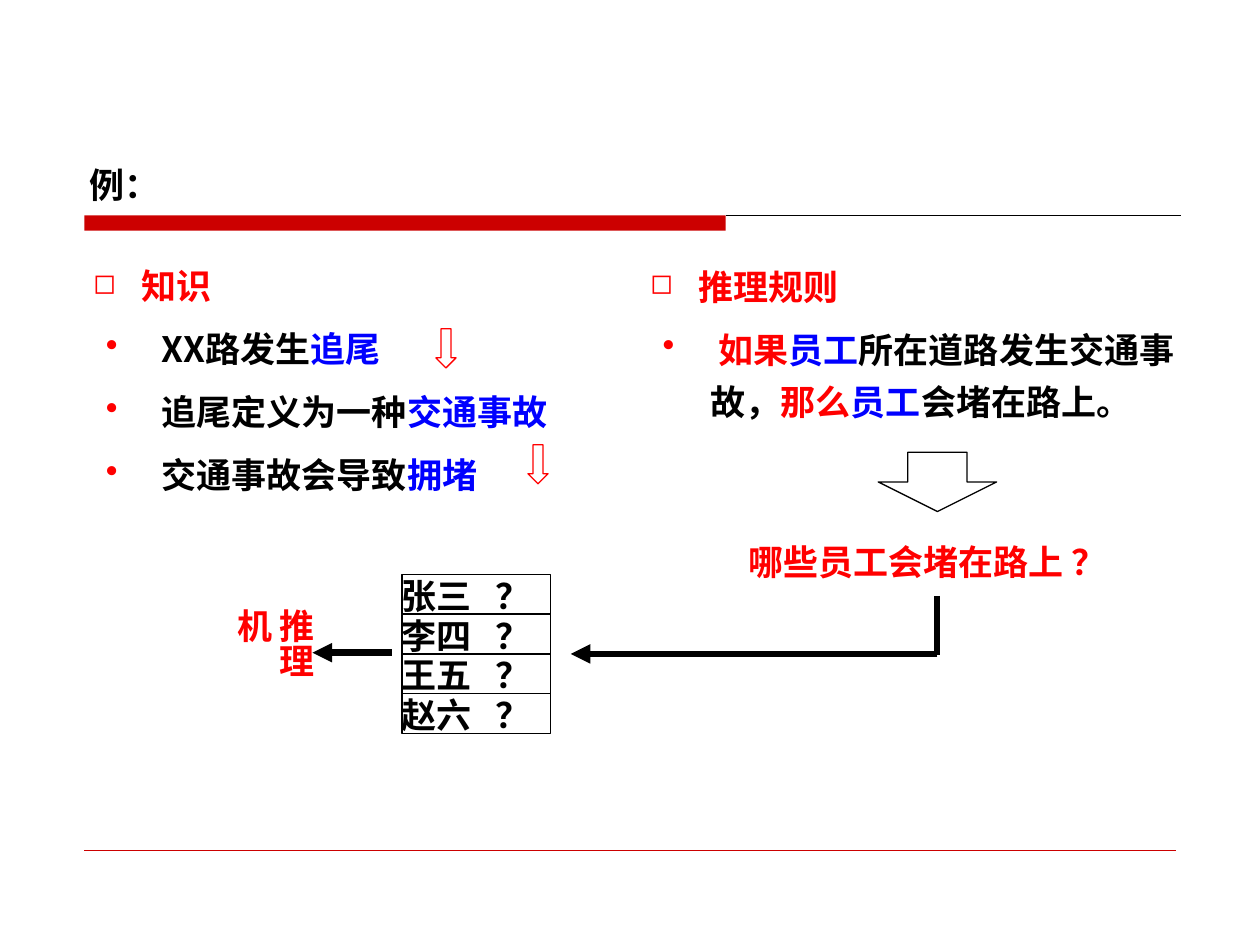
"""Build a slide that shows traffic knowledge and rules feeding an inference engine."""
from lxml import etree
from pptx import Presentation
from pptx.dml.color import RGBColor
from pptx.enum.shapes import MSO_CONNECTOR, MSO_SHAPE
from pptx.enum.text import MSO_ANCHOR, MSO_AUTO_SIZE
from pptx.oxml.ns import qn
from pptx.util import Inches, Pt

BLACK = RGBColor(0x00, 0x00, 0x00)
RED = RGBColor(0xFF, 0x00, 0x00)
BLUE = RGBColor(0x00, 0x00, 0xFF)
CRIMSON = RGBColor(0xCC, 0x00, 0x00)
STRAIGHT = MSO_CONNECTOR.STRAIGHT
RECTANGLE = MSO_SHAPE.RECTANGLE
DOWN_ARROW = MSO_SHAPE.DOWN_ARROW
TOP, BOTTOM = MSO_ANCHOR.TOP, MSO_ANCHOR.BOTTOM
GROW = MSO_AUTO_SIZE.SHAPE_TO_FIT_TEXT
CJK = "Noto Sans CJK SC"
SANS = "DejaVu Sans"
SERIF = "Times New Roman"


class SlideBuilder:
    """Hold the text style and the slide, and draw each kind of element."""

    def __init__(self, slide, size=20):
        self.shapes = slide.shapes
        self.size = Pt(size)

    def style(self, run, font_name, color):
        font = run.font
        font.size, font.bold, font.name = self.size, True, font_name
        font.color.rgb = color
        east_asian = etree.SubElement(run._r.get_or_add_rPr(), qn("a:ea"))
        east_asian.set("typeface", CJK)

    def frame(self, shape, anchor=TOP):
        frame = shape.text_frame
        frame.word_wrap = True
        frame.vertical_anchor = anchor
        frame.margin_left = frame.margin_right = 0
        frame.margin_top = frame.margin_bottom = 0
        return frame

    def box(self, left, top, width, height):
        return self.shapes.add_textbox(
            Inches(left), Inches(top), Inches(width), Inches(height))

    def label(self, text, place, font_name, color, anchor=TOP):
        frame = self.frame(self.box(*place), anchor)
        frame.text = text
        self.style(frame.paragraphs[0].runs[0], font_name, color)

    def vertical_label(self, text, place, font_name, color):
        frame = self.box(*place).text_frame
        frame.word_wrap = True
        frame.auto_size = GROW
        frame._txBody.bodyPr.set("vert", "eaVert")
        frame.text = text
        self.style(frame.paragraphs[0].runs[0], font_name, color)

    def bullet(self, paragraph, mark, indent, scale):
        properties = paragraph._p.get_or_add_pPr()
        properties.set("marL", str(Inches(indent)))
        properties.set("indent", str(-Inches(0.38)))
        color = etree.SubElement(properties, qn("a:buClr"))
        etree.SubElement(color, qn("a:srgbClr")).set("val", str(RED))
        size = etree.SubElement(properties, qn("a:buSzPct"))
        size.set("val", str(scale * 1000))
        etree.SubElement(properties, qn("a:buChar")).set("char", mark)

    def outline(self, heading, points, place):
        frame = self.frame(self.box(*place))
        frame.auto_size = GROW
        for index, parts in enumerate([[(heading, RED)], *points]):
            paragraph = frame.add_paragraph() if index else frame.paragraphs[0]
            self.bullet(paragraph, *(("•", 0.48, 100) if index else ("◻", 0.38, 80)))
            paragraph.line_spacing = Pt(30)
            paragraph.space_after = Pt(6)
            for text, color in parts:
                run = paragraph.add_run()
                run.text = text
                self.style(run, CJK, color)

    def shape(self, kind, place, line=None, fill=None):
        shape = self.shapes.add_shape(kind, *(Inches(value) for value in place))
        shape.shadow.inherit = False
        if fill is None:
            shape.fill.background()
        else:
            shape.fill.solid()
            shape.fill.fore_color.rgb = fill
        if line is None:
            shape.line.fill.background()
        else:
            shape.line.color.rgb = line
            shape.line.width = Pt(0.75)
        return shape

    def person(self, name, place):
        frame = self.frame(self.shape(RECTANGLE, place, BLACK))
        paragraph = frame.paragraphs[0]
        tabs = etree.SubElement(paragraph._p.get_or_add_pPr(), qn("a:tabLst"))
        tab = etree.SubElement(tabs, qn("a:tab"))
        tab.set("pos", str(Inches(0.74)))
        tab.set("algn", "l")
        paragraph.text = f"{name}\t？"
        paragraph.alignment = 1
        for run in paragraph.runs:
            self.style(run, SANS, BLACK)

    def line(self, start, end, color, width, arrow=False):
        line = self.shapes.add_connector(
            STRAIGHT, *(Inches(value) for value in (*start, *end)))
        line.line.color.rgb = color
        line.line.width = Pt(width)
        if arrow:
            head = etree.SubElement(line.line._get_or_add_ln(), qn("a:tailEnd"))
            head.set("type", "triangle")
        etree.SubElement(line._element.spPr, qn("a:effectLst"))


def main():
    deck = Presentation()
    deck.slide_width, deck.slide_height = Inches(10), Inches(7.5)
    builder = SlideBuilder(deck.slides.add_slide(deck.slide_layouts[6]))

    builder.shape(RECTANGLE, (0.67, 1.71, 5.09, 0.12), fill=CRIMSON)
    builder.line((5.76, 1.71), (9.37, 1.71), BLACK, 0.75)
    builder.line((0.67, 6.75), (9.33, 6.75), CRIMSON, 0.25)
    builder.label("例：", (0.71, 1.27, 0.55, 0.36), SERIF, BLACK, BOTTOM)

    facts = [(" XX路发生", "追尾"), (" 追尾定义为一种", "交通事故"),
             (" 交通事故会导致", "拥堵")]
    builder.outline("知识", [[(cause, BLACK), (effect, BLUE)] for cause, effect in facts],
                    (0.74, 2.02, 3.87, 1.94))
    rule = [(" ", BLACK), ("如果", RED), ("员工", BLUE), ("所在道路发生交通事故，", BLACK),
            ("那么", RED), ("员工", BLUE), ("会堵在路上。", BLACK)]
    builder.outline("推理规则", [rule], (5.16, 2.02, 4.25, 1.35))

    for row, name in enumerate(("张三", "李四", "王五", "赵六")):
        builder.person(name, (3.19, 4.56 + row * 0.315, 1.18, 0.315))

    builder.label("哪些员工会堵在路上 ？", (5.94, 4.29, 2.99, 0.31), SANS, RED)
    builder.shape(DOWN_ARROW, (6.97, 3.59, 0.94, 0.47), BLACK)
    builder.line((7.44, 4.73), (7.44, 5.2), BLACK, 3.5)
    builder.line((7.44, 5.19), (4.53, 5.19), BLACK, 3.75, arrow=True)
    builder.line((3.11, 5.18), (2.48, 5.18), BLACK, 3.75, arrow=True)
    builder.vertical_label("推理机", (2.02, 4.73, 0.54, 1), SANS, RED)
    for left, top in ((3.46, 2.61), (4.19, 3.53)):
        builder.shape(DOWN_ARROW, (left, top, 0.16, 0.31), RED)

    deck.save("out.pptx")


if __name__ == "__main__":
    main()
